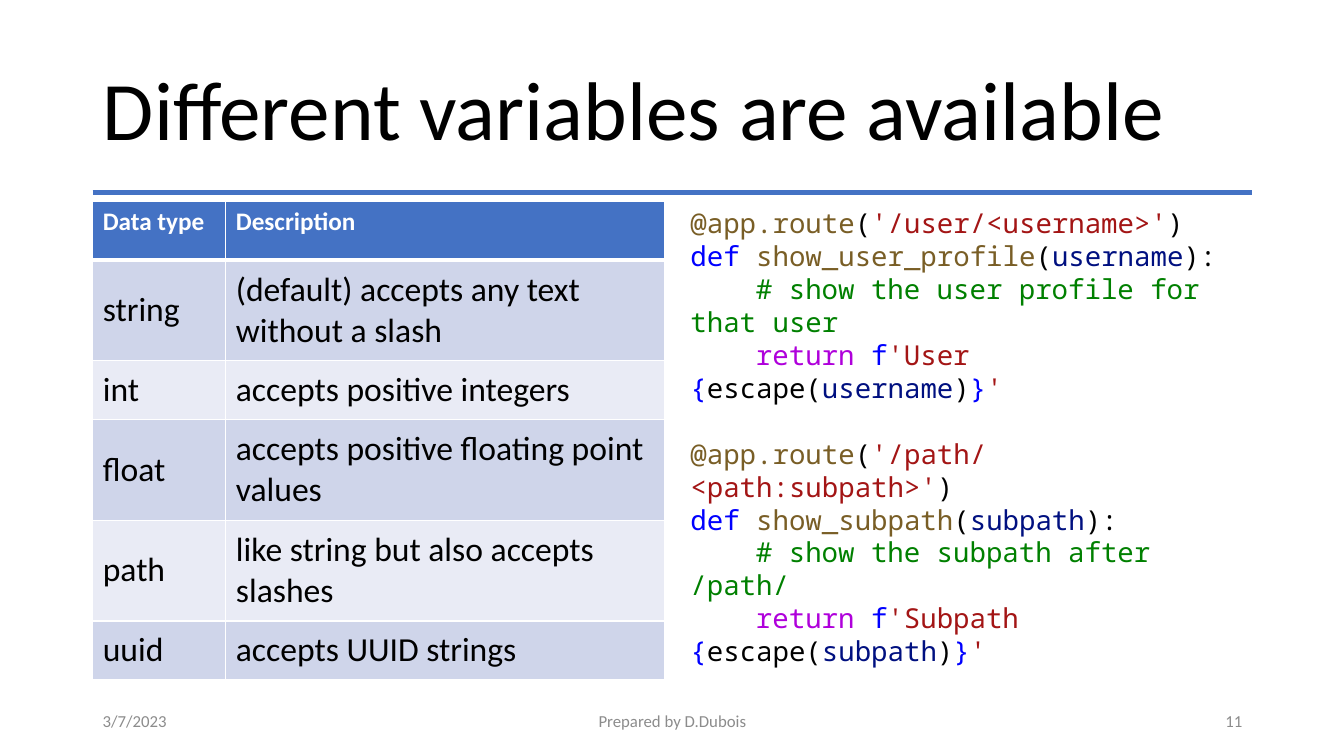
from dataclasses import dataclass
from typing import Sequence

from lxml.etree import SubElement
from pptx import Presentation
from pptx.dml.color import RGBColor
from pptx.enum.shapes import MSO_CONNECTOR
from pptx.enum.text import MSO_ANCHOR, MSO_AUTO_SIZE, PP_ALIGN
from pptx.oxml.ns import qn
from pptx.util import Emu, Pt

PX = 9144
BLACK = RGBColor(0x00, 0x00, 0x00)
WHITE = RGBColor(0xFF, 0xFF, 0xFF)
GRAY = RGBColor(0x8C, 0x8C, 0x8C)
ACCENT = RGBColor(0x44, 0x72, 0xC4)
BANDS = (RGBColor(0xE9, 0xEB, 0xF5), RGBColor(0xCF, 0xD5, 0xEA))
BROWN = RGBColor(0x79, 0x5E, 0x26)
RED = RGBColor(0xA3, 0x15, 0x15)
BLUE = RGBColor(0x00, 0x00, 0xFF)
NAVY = RGBColor(0x00, 0x10, 0x80)
GREEN = RGBColor(0x00, 0x80, 0x00)
PURPLE = RGBColor(0xAF, 0x00, 0xDB)


def px(count: int) -> Emu:
    return Emu(count * PX)


@dataclass(frozen=True)
class Run:
    text: str
    color: RGBColor = BLACK


@dataclass(frozen=True)
class Line:
    runs: Sequence[Run]
    indent: int = 0
    before: float = 0


@dataclass(frozen=True)
class Box:
    left: int
    top: int
    width: int
    height: int

    def place(self) -> tuple:
        return px(self.left), px(self.top), px(self.width), px(self.height)


@dataclass(frozen=True)
class Footer:
    text: str
    box: Box
    align: PP_ALIGN


TITLE = Box(92, 40, 1150, 145)
RULE_TOP = 191
TABLE = Box(92, 200, 567, 474)
CODE = Box(675, 200, 567, 476)
COLUMNS = (132, 435)
HEIGHTS = (58, 100, 58, 100, 100, 58)
ROWS = (
    ("Data type", "Description"),
    ("string", "(default) accepts any text without a slash"),
    ("int", "accepts positive integers"),
    ("float", "accepts positive floating point values"),
    ("path", "like string but also accepts slashes"),
    ("uuid", "accepts UUID strings"),
)
FOOTERS = (
    Footer("3/7/2023", Box(92, 695, 300, 40), PP_ALIGN.LEFT),
    Footer("Prepared by D.Dubois", Box(442, 695, 450, 40), PP_ALIGN.CENTER),
    Footer("11", Box(942, 695, 300, 40), PP_ALIGN.RIGHT),
)
PITCH = 23.5
TAB = 65


def write(frame, lines: Sequence[Line], *, size: float, font: str = "Calibri",
          bold: bool = False, align: PP_ALIGN = PP_ALIGN.LEFT, spacing=None) -> None:
    for index, line in enumerate(lines):
        para = frame.add_paragraph() if index else frame.paragraphs[0]
        para.alignment = align
        para.line_spacing = spacing
        para.space_before = Pt(line.before)
        if line.indent:
            para._p.get_or_add_pPr().set("indent", str(px(line.indent)))
        for part in line.runs:
            run = para.add_run()
            run.text = part.text
            run.font.size = Pt(size)
            run.font.name = font
            run.font.bold = bold
            run.font.color.rgb = part.color


def add_box(slide, box: Box, anchor: MSO_ANCHOR):
    frame = slide.shapes.add_textbox(*box.place()).text_frame
    frame.word_wrap = True
    frame.vertical_anchor = anchor
    return frame


def route(rule: str, name: str, arg: str, note: str, label: str,
          before: float = 0) -> list[Line]:
    return [
        Line([Run("@app.route", BROWN), Run("("), Run(f"'{rule}'", RED), Run(")")],
             before=before),
        Line([Run("def ", BLUE), Run(name, BROWN), Run("("), Run(arg, NAVY), Run("):")]),
        Line([Run(f"# {note}", GREEN)], indent=TAB),
        Line([Run("return ", PURPLE), Run("f", BLUE), Run(f"'{label} ", RED),
              Run("{", BLUE), Run("escape("), Run(arg, NAVY), Run(")"),
              Run("}", BLUE), Run("'", RED)], indent=TAB),
    ]


def add_edge(cell, side: str, width: float) -> None:
    edge = SubElement(cell._tc.get_or_add_tcPr(), qn(f"a:ln{side}"), w=str(Pt(width)))
    fill = SubElement(edge, qn("a:solidFill"))
    SubElement(fill, qn("a:srgbClr"), val=str(WHITE))


def add_grid(slide) -> None:
    table = slide.shapes.add_table(len(ROWS), len(COLUMNS), *TABLE.place()).table
    for column, width in zip(table.columns, COLUMNS):
        column.width = px(width)
    for index, (row, height, words) in enumerate(zip(table.rows, HEIGHTS, ROWS)):
        row.height = px(height)
        head = index == 0
        for cell, text in zip(row.cells, words):
            for side in "LRTB":
                thick = (index, side) in ((0, "B"), (1, "T"))
                add_edge(cell, side, 3 if thick else 1)
            cell.fill.solid()
            cell.fill.fore_color.rgb = ACCENT if head else BANDS[index % 2]
            cell.vertical_anchor = MSO_ANCHOR.TOP if head else MSO_ANCHOR.MIDDLE
            write(cell.text_frame, [Line([Run(text, WHITE if head else BLACK)])],
                  size=18 if head else 24, bold=head)


def add_rule(slide) -> None:
    rule = slide.shapes.add_connector(
        MSO_CONNECTOR.STRAIGHT, px(TITLE.left), px(RULE_TOP),
        px(TITLE.left + TITLE.width), px(RULE_TOP))
    rule.line.color.rgb = ACCENT
    rule.line.width = Pt(3)
    SubElement(rule._element.spPr, qn("a:effectLst"))


def add_title(slide) -> None:
    title = slide.shapes.title
    title.left, title.top, title.width, title.height = TITLE.place()
    frame = title.text_frame
    frame.auto_size = MSO_AUTO_SIZE.NONE
    frame.vertical_anchor = MSO_ANCHOR.MIDDLE
    write(frame, [Line([Run("Different variables are available")])],
          size=59.4, spacing=0.9)


def main() -> None:
    deck = Presentation()
    deck.slide_width, deck.slide_height = px(1333), px(750)
    slide = deck.slides.add_slide(deck.slide_layouts[5])
    add_rule(slide)
    add_title(slide)
    add_grid(slide)
    code = route("/user/<username>", "show_user_profile", "username",
                 "show the user profile for that user", "User")
    code += route("/path/<path:subpath>", "show_subpath", "subpath",
                  "show the subpath after /path/", "Subpath", before=PITCH)
    write(add_box(slide, CODE, MSO_ANCHOR.TOP), code, size=19.6,
          font="Noto Sans Mono", spacing=Pt(PITCH))
    for foot in FOOTERS:
        write(add_box(slide, foot.box, MSO_ANCHOR.MIDDLE),
              [Line([Run(foot.text, GRAY)])], size=12, align=foot.align)
    deck.save("out.pptx")


if __name__ == "__main__":
    main()
